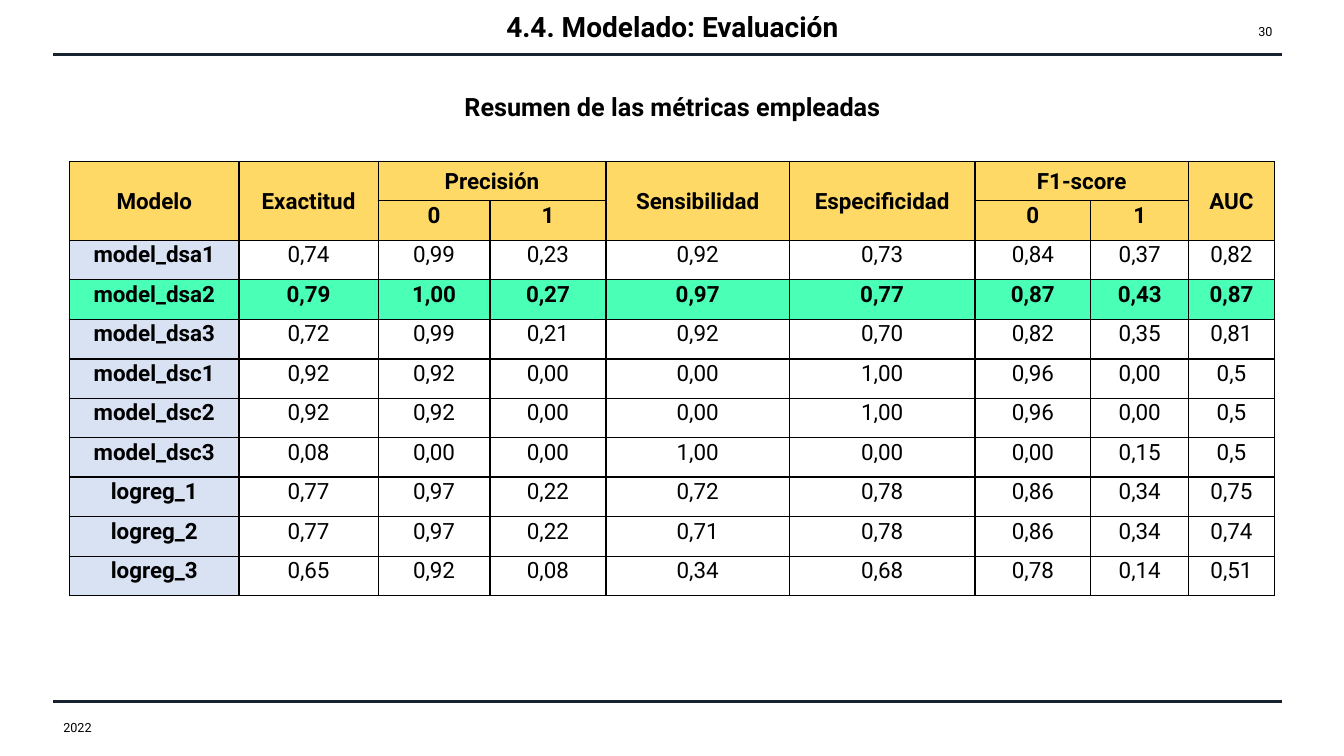
from lxml import etree
from pptx import Presentation
from pptx.dml.color import RGBColor
from pptx.enum.shapes import MSO_CONNECTOR
from pptx.enum.text import MSO_ANCHOR, MSO_AUTO_SIZE, PP_ALIGN
from pptx.oxml.ns import qn
from pptx.util import Inches, Pt

LEFT, CENTER, RIGHT = PP_ALIGN.LEFT, PP_ALIGN.CENTER, PP_ALIGN.RIGHT
TOP, MIDDLE = MSO_ANCHOR.TOP, MSO_ANCHOR.MIDDLE
NO_AUTOFIT = MSO_AUTO_SIZE.NONE
STRAIGHT = MSO_CONNECTOR.STRAIGHT

BLACK = RGBColor(0x00, 0x00, 0x00)
NAVY = RGBColor(0x18, 0x22, 0x30)
AMBER = RGBColor(0xFF, 0xD9, 0x66)
PALE_BLUE = RGBColor(0xD9, 0xE2, 0xF3)
MINT = RGBColor(0x4A, 0xFF, 0xB6)

FONT = "Roboto"
WIDTH, HEIGHT = 13.33, 7.5
RULE_LEFT, RULE_RIGHT = 0.53, 12.72
HEADER_ROWS = 2
BEST_MODEL = "model_dsa2"
GROUP_STARTS = ("model_dsc1", "logreg_1")
COLUMN_WIDTHS = (1.68, 1.38, 1.11, 1.15, 1.82, 1.84, 1.15, 0.97, 0.85)
SPLIT_COLUMNS = (2, 6)
METRICS = (
    ("Modelo", "Exactitud", "Precisión", "", "Sensibilidad", "Especificidad", "F1-score", "", "AUC"),
    ("", "", "0", "1", "", "", "0", "1", ""),
    ("model_dsa1", "0,74", "0,99", "0,23", "0,92", "0,73", "0,84", "0,37", "0,82"),
    ("model_dsa2", "0,79", "1,00", "0,27", "0,97", "0,77", "0,87", "0,43", "0,87"),
    ("model_dsa3", "0,72", "0,99", "0,21", "0,92", "0,70", "0,82", "0,35", "0,81"),
    ("model_dsc1", "0,92", "0,92", "0,00", "0,00", "1,00", "0,96", "0,00", "0,5"),
    ("model_dsc2", "0,92", "0,92", "0,00", "0,00", "1,00", "0,96", "0,00", "0,5"),
    ("model_dsc3", "0,08", "0,00", "0,00", "1,00", "0,00", "0,00", "0,15", "0,5"),
    ("logreg_1", "0,77", "0,97", "0,22", "0,72", "0,78", "0,86", "0,34", "0,75"),
    ("logreg_2", "0,77", "0,97", "0,22", "0,71", "0,78", "0,86", "0,34", "0,74"),
    ("logreg_3", "0,65", "0,92", "0,08", "0,34", "0,68", "0,78", "0,14", "0,51"),
)


def apply(target, values):
    for name, value in values.items():
        setattr(target, name, value)


def write(frame, text, size, bold, align):
    paragraph = frame.paragraphs[0]
    paragraph.alignment = align
    run = paragraph.add_run()
    run.text = text
    apply(run.font, {"name": FONT, "size": Pt(size), "bold": bold})
    run.font.color.rgb = BLACK
    return paragraph


def add_label(slide, box, text, size, bold, align, anchor):
    label = slide.shapes.add_textbox(*map(Inches, box))
    apply(label.text_frame, {"word_wrap": True, "vertical_anchor": anchor})
    write(label.text_frame, text, size, bold, align)


def add_rule(slide, y):
    rule = slide.shapes.add_connector(
        STRAIGHT, Inches(RULE_LEFT), Inches(y), Inches(RULE_RIGHT), Inches(y))
    rule.line.color.rgb = NAVY
    rule.line.width = Pt(2.25)
    etree.SubElement(rule._element.spPr, qn("a:effectLst"))


def add_title(slide, box, text):
    title = slide.shapes.title
    edges = map(Inches, box)
    apply(title, dict(zip(("left", "top", "width", "height"), edges)))
    apply(title.text_frame, {
        "word_wrap": True, "auto_size": NO_AUTOFIT, "vertical_anchor": MIDDLE})
    write(title.text_frame, text, 20, True, CENTER)


def set_borders(cell, widths):
    properties = cell._tc.get_or_add_tcPr()
    for position, (side, width) in enumerate(widths.items()):
        border = etree.Element(qn(f"a:ln{side}"), w=str(Pt(width)))
        fill = etree.SubElement(border, qn("a:solidFill"))
        etree.SubElement(fill, qn("a:srgbClr"), val=str(BLACK))
        properties.insert(position, border)


def cell_fill(row, column):
    if row < HEADER_ROWS:
        return AMBER
    if METRICS[row][0] == BEST_MODEL:
        return MINT
    return PALE_BLUE if column == 0 else None


def line_above(row):
    starts_group = row < len(METRICS) and METRICS[row][0] in GROUP_STARTS
    return 1.5 if starts_group else 1


def format_cell(cell, row, column):
    fill = cell_fill(row, column)
    apply(cell, {
        "margin_left": Inches(0.07), "margin_right": Inches(0.07),
        "margin_top": 0, "margin_bottom": 0,
        "vertical_anchor": MIDDLE if row == 0 else TOP})
    if fill is None:
        cell.fill.background()
    else:
        cell.fill.solid()
        cell.fill.fore_color.rgb = fill
    set_borders(cell, {"L": 1, "R": 1, "T": line_above(row), "B": line_above(row + 1)})
    if METRICS[row][column]:
        paragraph = write(cell.text_frame, METRICS[row][column], 16, fill is not None, CENTER)
        apply(paragraph, {"line_spacing": 1.07, "space_after": Pt(8)})


def add_metrics(slide, box):
    rows, columns = len(METRICS), len(COLUMN_WIDTHS)
    table = slide.shapes.add_table(rows, columns, *map(Inches, box)).table
    apply(table, {"first_row": False, "horz_banding": False})
    for column, width in enumerate(COLUMN_WIDTHS):
        table.columns[column].width = Inches(width)
    for row in range(rows):
        table.rows[row].height = Inches(box[3] / rows)
        for column in range(columns):
            format_cell(table.cell(row, column), row, column)
    for column in range(columns):
        if column in SPLIT_COLUMNS:
            table.cell(0, column).merge(table.cell(0, column + 1))
        elif METRICS[0][column]:
            table.cell(0, column).merge(table.cell(1, column))


def main():
    deck = Presentation()
    apply(deck, {"slide_width": Inches(WIDTH), "slide_height": Inches(HEIGHT)})
    slide = deck.slides.add_slide(deck.slide_layouts.get_by_name("Title Only"))
    for y in (0.54, 6.96):
        add_rule(slide, y)
    add_title(slide, (1.71, 0, 9.92, 0.53), "4.4. Modelado: Evaluación")
    add_metrics(slide, (0.69, 1.6, sum(COLUMN_WIDTHS), 4.31))
    add_label(slide, (RULE_LEFT, 7.02, 4.5, 0.4), "2022", 9, False, LEFT, MIDDLE)
    add_label(slide, (RULE_RIGHT - 0.7, 0.11, 0.7, 0.4), "30", 9, False, RIGHT, MIDDLE)
    add_label(slide, (4.4, 0.86, 4.54, 0.4), "Resumen de las métricas empleadas",
              18, True, CENTER, TOP)
    deck.save("out.pptx")


if __name__ == "__main__":
    main()
